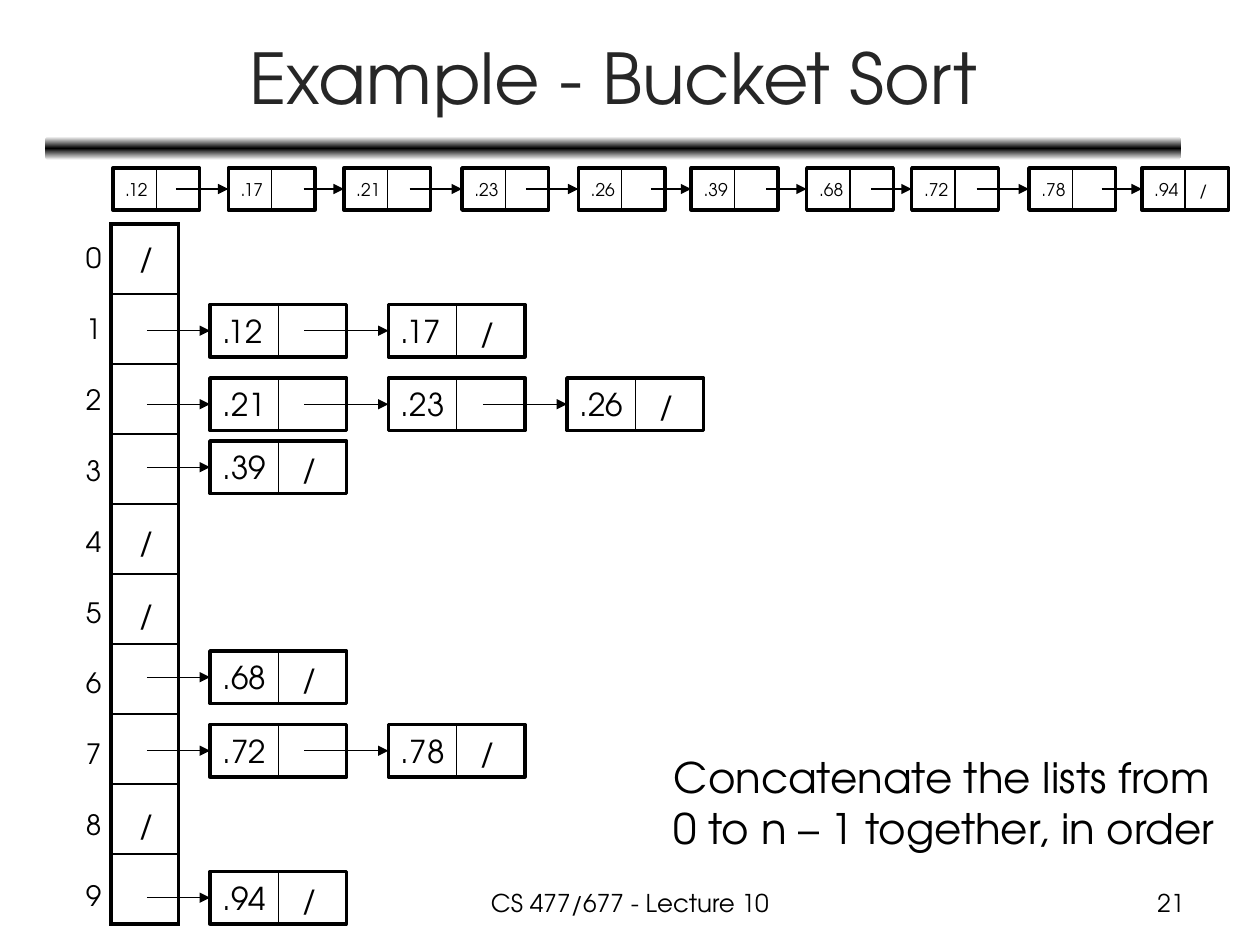
from copy import deepcopy

from lxml.etree import SubElement
from pptx import Presentation
from pptx.dml.color import RGBColor
from pptx.enum.shapes import MSO_CONNECTOR, MSO_SHAPE
from pptx.enum.text import MSO_ANCHOR, MSO_AUTO_SIZE, PP_ALIGN
from pptx.oxml.ns import qn
from pptx.util import Pt

COLORS = {"ink": "000000", "title": "262626", "paper": "FFFFFF"}
FONT = "TeX Gyre Adventor"
TOP, LEFT, BOTTOM = 0, 1, 2  # connection sites of a rectangle

# Bucket number: top of its list, values in the list
BUCKETS = {
    1: (174, [".12", ".17"]),
    2: (216, [".21", ".23", ".26"]),
    3: (252, [".39"]),
    6: (372, [".68"]),
    7: (414, [".72", ".78"]),
    9: (498, [".94"]),
}
# Top of the slash in each empty bucket
EMPTY_TOPS = [132, 294, 336, 456]
# Value, left edge, length of the arrow that leads to it
SORTED = [
    (".12", 64.5, 0), (".17", 130.5, 30), (".21", 196.5, 23),
    (".23", 264, 30), (".26", 330.5, 30), (".39", 395, 23),
    (".68", 461, 23), (".72", 521, 23), (".78", 588, 30), (".94", 652.5, 23),
]


def rgb(name):
    return RGBColor.from_string(COLORS[name])


def style_text(frame, size, color="ink", align=PP_ALIGN.LEFT):
    for para in frame.paragraphs:
        para.alignment = align
        for span in para.runs:
            span.font.name = FONT
            span.font.size = Pt(size)
            span.font.color.rgb = rgb(color)


def add_text(page, box, text, size, color="ink", align=PP_ALIGN.LEFT,
             anchor=MSO_ANCHOR.TOP, wrap=True):
    frame = page.shapes.add_textbox(*map(Pt, box)).text_frame
    frame.word_wrap = wrap
    if not wrap:
        frame.auto_size = MSO_AUTO_SIZE.SHAPE_TO_FIT_TEXT
    frame.vertical_anchor = anchor
    frame.text = text
    style_text(frame, size, color, align)


def add_line(page, x1, y1, x2, y2, arrow=False):
    line = page.shapes.add_connector(
        MSO_CONNECTOR.STRAIGHT, Pt(x1), Pt(y1), Pt(x2), Pt(y2))
    line.line.color.rgb = rgb("ink")
    line.line.width = Pt(0.75)
    if arrow:
        SubElement(line.line._get_or_add_ln(), qn("a:tailEnd"), type="triangle")
    SubElement(line._element.spPr, qn("a:effectLst"))
    return line


def add_node(page, box, value, size, arrow_length, last, slash_tab):
    """List node: value cell, pointer cell and the arrow that leads to it."""
    left, top, width, height = box
    node = page.shapes.add_shape(MSO_SHAPE.RECTANGLE, *map(Pt, box))
    node.shadow.inherit = False
    node.fill.background()
    node.line.color.rgb = rgb("ink")
    node.line.width = Pt(2)
    frame = node.text_frame
    frame.word_wrap = True
    frame.vertical_anchor = MSO_ANCHOR.MIDDLE
    frame.text = value + "\t/" if last else value
    if last:
        tabs = SubElement(frame.paragraphs[0]._p.get_or_add_pPr(), qn("a:tabLst"))
        SubElement(tabs, qn("a:tab"), pos=str(Pt(slash_tab)), algn="l")
    style_text(frame, size)

    middle = left + width / 2
    divider = add_line(page, middle, top, middle, top + height)
    divider.begin_connect(node, TOP)
    divider.end_connect(node, BOTTOM)
    if arrow_length:
        center = top + height / 2
        arrow = add_line(page, left - arrow_length, center, left, center, arrow=True)
        arrow.end_connect(node, LEFT)


def add_header(page, box):
    left, top, width, height = box
    add_text(page, (left, top, width, 71), "Example - Bucket Sort", 40, "title",
             PP_ALIGN.CENTER, MSO_ANCHOR.MIDDLE)
    # Rule that fades to white above and below
    bar = page.shapes.add_shape(
        MSO_SHAPE.ROUNDED_RECTANGLE, Pt(left), Pt(top + height - 13.5),
        Pt(width), Pt(13.5))
    bar.shadow.inherit = False
    bar.line.fill.background()
    bar.fill.gradient()
    bar.fill.gradient_angle = 90
    stop_list = bar._element.spPr.find(".//" + qn("a:gsLst"))
    stop_list.append(deepcopy(stop_list[0]))
    for stop, position, color in zip(
            bar.fill.gradient_stops, (0, 0.5, 1), ("paper", "ink", "paper")):
        stop.position = position
        stop.color.rgb = rgb(color)


def add_sorted_list(page, box):
    left, top, node_width, height = box
    for value, offset, arrow_length in SORTED:
        add_node(page, (left + offset, top, node_width, height), value, 10,
                 arrow_length, value == SORTED[-1][0], 25.5)


def set_cell_borders(cell, widths):
    props = cell._tc.get_or_add_tcPr()
    for side, width in widths.items():
        line = SubElement(props, qn("a:ln" + side), w=str(Pt(width)))
        fill = SubElement(line, qn("a:solidFill"))
        SubElement(fill, qn("a:srgbClr"), val=COLORS["ink"])


def add_bucket_array(page, box):
    left, top, width, height = box
    count = 10
    table = page.shapes.add_table(count, 1, *map(Pt, box)).table
    table.first_row = table.horz_banding = False
    for index in range(count):
        table.rows[index].height = Pt(height / count)
        cell = table.cell(index, 0)
        set_cell_borders(cell, {
            "L": 2.25, "R": 2.25,
            "T": 2.25 if index == 0 else 1,
            "B": 2.25 if index == count - 1 else 1,
        })
        cell.fill.background()
        add_text(page, (left - 21.5, top + 6 + 40.5 * index, 23, 26.5),
                 str(index), 16, wrap=False)
    for slash_top in EMPTY_TOPS:
        add_text(page, (left + 8.5, slash_top, 22.5, 29), "/", 18, wrap=False)


def add_bucket_lists(page, box):
    left, top, node_width, node_height = box
    pitch = 102
    for list_top, values in BUCKETS.values():
        for index, value in enumerate(values):
            add_node(page,
                     (left + pitch * index, top + list_top, node_width, node_height),
                     value, 18, 48 if index else 36,
                     index == len(values) - 1, 45)


def add_footer(page, box):
    left, top, width, height = box
    add_text(page, (left, top, 228, height), "CS 477/677 - Lecture 10", 14,
             align=PP_ALIGN.CENTER)
    add_text(page, (left + width - 168, top, 168, height), "21", 14,
             align=PP_ALIGN.RIGHT)


def main():
    deck = Presentation()
    deck.slide_width, deck.slide_height = Pt(720), Pt(540)
    page = deck.slides.add_slide(deck.slide_layouts[6])
    add_header(page, (26, 8, 649, 83.5))
    add_sorted_list(page, (0, 96, 49.5, 24))
    add_bucket_array(page, (63.5, 128, 38.5, 400))
    add_bucket_lists(page, (120, 0, 78, 30))
    add_text(page, (378, 426, 332, 65.5),
             "Concatenate the lists from\n0 to n – 1 together, in order", 24,
             wrap=False)
    add_footer(page, (246, 504, 438, 25))
    deck.save("out.pptx")


if __name__ == "__main__":
    main()
